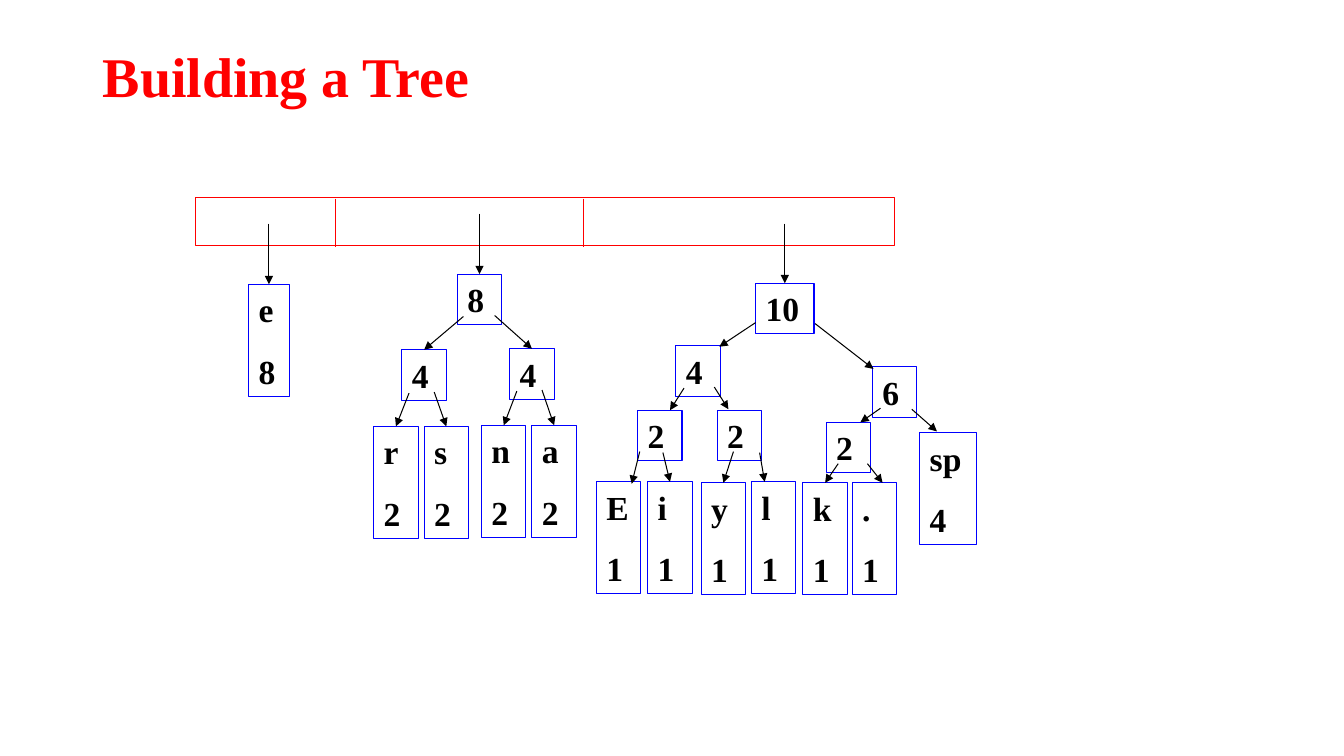
"""Build the slide that shows a Huffman tree growing from a priority queue."""
from lxml import etree
from pptx import Presentation
from pptx.dml.color import RGBColor
from pptx.enum.shapes import MSO_CONNECTOR, MSO_SHAPE
from pptx.enum.text import MSO_ANCHOR, MSO_AUTO_SIZE, PP_ALIGN
from pptx.oxml.ns import qn
from pptx.util import Pt

STRAIGHT = MSO_CONNECTOR.STRAIGHT
RECTANGLE = MSO_SHAPE.RECTANGLE
TOP, MIDDLE = MSO_ANCHOR.TOP, MSO_ANCHOR.MIDDLE
LEFT = PP_ALIGN.LEFT
NO_FIT, GROW = MSO_AUTO_SIZE.NONE, MSO_AUTO_SIZE.SHAPE_TO_FIT_TEXT

PX = 9144
SLIDE_SIZE = (1334, 750)
FONT = "Times New Roman"
RED, BLUE, BLACK, WHITE = "FF0000", "0000FF", "000000", "FFFFFF"

TITLE = "Building a Tree"
TITLE_BOX = (92, 40, 1150, 77)
QUEUE_BOX = (194, 196, 694, 48)
QUEUE_DIVIDERS = (333, 579)

FIRST_LINE_HEIGHT, NEXT_LINE_HEIGHT = 50, 61
NODE_WIDTH = 44
JOINED = None

# Labels, left, top, width, arrow start, arrow tip (JOINED: middle of the top)
NODES = [
    (("e", "8"), 247, 282, 40, (267, 222), JOINED),
    (("8",), 454, 272, NODE_WIDTH, (476, 212), JOINED),
    (("4",), 399, 347, NODE_WIDTH, (460, 314), JOINED),
    (("r", "2"), 371, 423, NODE_WIDTH, (406, 390), JOINED),
    (("s", "2"), 421, 423, NODE_WIDTH, (431, 389), JOINED),
    (("4",), 506, 346, NODE_WIDTH, (491, 313), JOINED),
    (("n", "2"), 478, 422, NODE_WIDTH, (513, 388), JOINED),
    (("a", "2"), 528, 422, NODE_WIDTH, (538, 387), JOINED),
    (("10",), 750, 281, 58, (779, 222), JOINED),
    (("4",), 671, 343, NODE_WIDTH, (750, 320), (714, 344)),
    (("2",), 633, 407, NODE_WIDTH, (679, 385), (665, 407)),
    (("E", "1"), 592, 478, NODE_WIDTH, (635, 448), (627, 480)),
    (("i", "1"), 643, 478, NODE_WIDTH, (658, 449), JOINED),
    (("2",), 712, 407, NODE_WIDTH, (709, 384), (723, 406)),
    (("y", "1"), 696, 479, NODE_WIDTH, (728, 448), JOINED),
    (("l", "1"), 746, 478, NODE_WIDTH, (754, 449), (759, 478)),
    (("6",), 866, 364, NODE_WIDTH, (809, 321), (867, 366)),
    (("2",), 820, 419, NODE_WIDTH, (874, 405), (854, 419)),
    (("k", "1"), 797, 479, NODE_WIDTH, (832, 460), JOINED),
    ((".", "1"), 846, 479, NODE_WIDTH, (861, 460), (876, 479)),
    (("sp", "4"), 913, 429, 56, (905, 406), (930, 428)),
]


def emu(lengths):
    return [round(length * PX) for length in lengths]


def rgb(value):
    return RGBColor.from_string(value)


def add_text(paragraph, text, size, color):
    run = paragraph.add_run()
    run.text = text
    run.font.name = FONT
    run.font.size = Pt(size)
    run.font.bold = True
    run.font.color.rgb = rgb(color)


def add_box(slide, box, line_color, fill_color=None):
    rectangle = slide.shapes.add_shape(RECTANGLE, *emu(box))
    rectangle.shadow.inherit = False
    if fill_color:
        rectangle.fill.solid()
        rectangle.fill.fore_color.rgb = rgb(fill_color)
    else:
        rectangle.fill.background()
    rectangle.line.color.rgb = rgb(line_color)
    rectangle.line.width = Pt(0.75)
    return rectangle


def add_line(slide, start, end, color, arrow=False):
    connector = slide.shapes.add_connector(STRAIGHT, *emu(start + end))
    connector.line.color.rgb = rgb(color)
    connector.line.width = Pt(0.75)
    properties = connector._element.spPr
    if arrow:
        outline = properties.find(qn("a:ln"))
        etree.SubElement(outline, qn("a:tailEnd"), type="triangle")
    etree.SubElement(properties, qn("a:effectLst"))
    return connector


def add_title(slide):
    title = slide.shapes.title
    title.left, title.top, title.width, title.height = emu(TITLE_BOX)
    frame = title.text_frame
    frame.auto_size = NO_FIT
    frame.vertical_anchor = MIDDLE
    paragraph = frame.paragraphs[0]
    paragraph.alignment = LEFT
    paragraph.line_spacing = 0.9
    add_text(paragraph, TITLE, 40, RED)


def add_queue(slide):
    add_box(slide, QUEUE_BOX, RED, WHITE)
    top, height = QUEUE_BOX[1], QUEUE_BOX[3]
    for x in QUEUE_DIVIDERS:
        add_line(slide, (x, top + 1), (x, top + height + 1), RED)


def add_node(slide, labels, left, top, width, start, tip):
    height = FIRST_LINE_HEIGHT + NEXT_LINE_HEIGHT * (len(labels) - 1)
    node = add_box(slide, (left, top, width, height), BLUE)
    frame = node.text_frame
    frame.word_wrap = True
    frame.auto_size = GROW
    frame.vertical_anchor = TOP
    for index, label in enumerate(labels):
        paragraph = frame.add_paragraph() if index else frame.paragraphs[0]
        paragraph.alignment = LEFT
        if index:
            paragraph.space_before = Pt(15)
        add_text(paragraph, label, 24, BLACK)
    top_middle = (left + width / 2, top)
    arrow = add_line(slide, start, tip or top_middle, BLACK, arrow=True)
    if tip is JOINED:
        arrow.end_connect(node, 0)


def main():
    deck = Presentation()
    deck.slide_width, deck.slide_height = emu(SLIDE_SIZE)
    slide = deck.slides.add_slide(deck.slide_layouts[5])
    add_title(slide)
    add_queue(slide)
    for node in NODES:
        add_node(slide, *node)
    deck.save("out.pptx")


if __name__ == "__main__":
    main()
